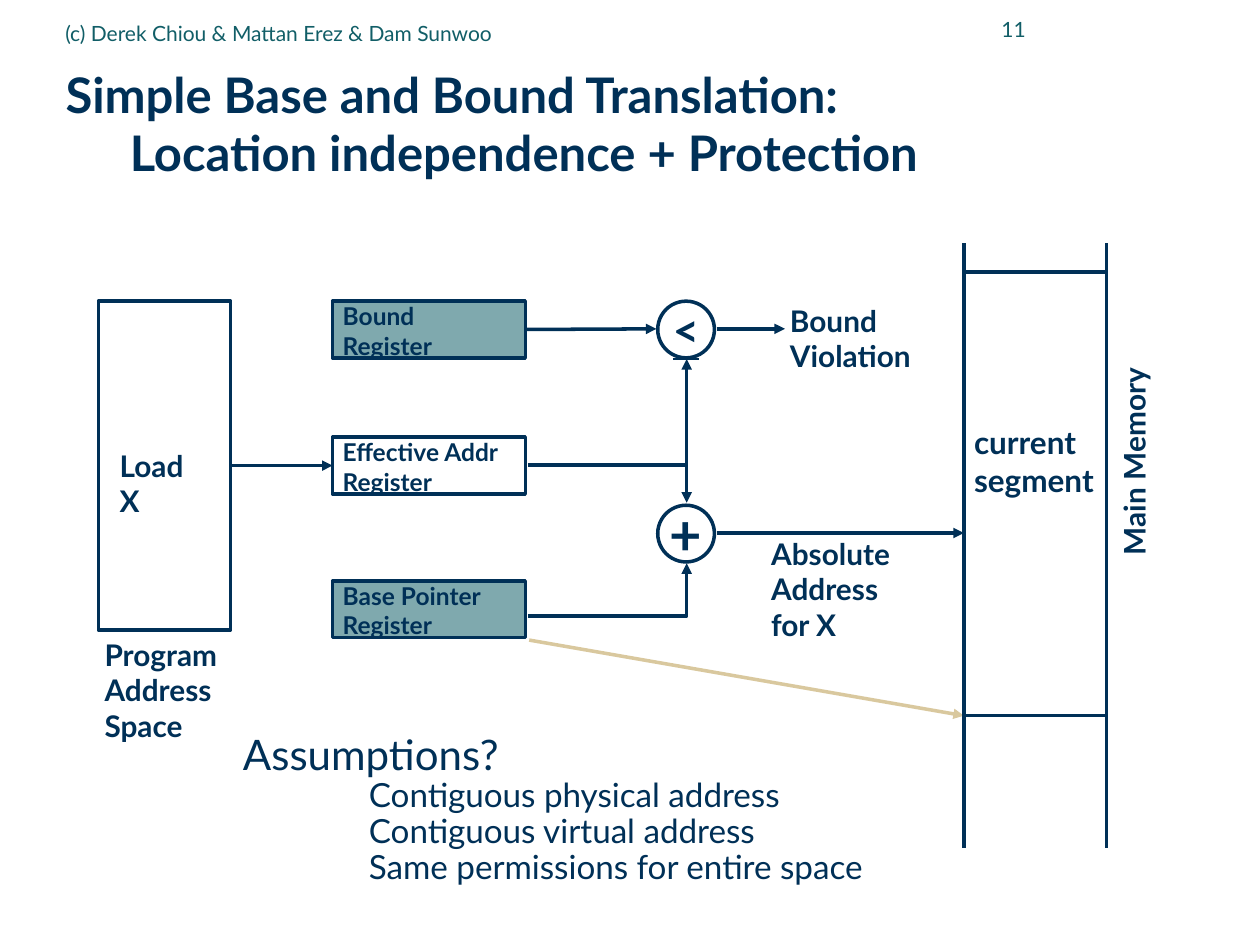
"""Build the slide on simple base and bound address translation."""
import copy
import pptx
import pptx.util
import pptx.dml.color
import pptx.enum.shapes
import pptx.enum.text
import pptx.oxml
import pptx.oxml.ns

Inches, Pt = pptx.util.Inches, pptx.util.Pt
Shape = pptx.enum.shapes.MSO_SHAPE
Align, Anchor = pptx.enum.text.PP_ALIGN, pptx.enum.text.MSO_ANCHOR
qn = pptx.oxml.ns.qn

NAVY, TEAL, PALE, SAND, WHITE = "003057", "115E67", "7FA9AE", "D9C89E", "FFFFFF"
TITLE = "Simple Base and Bound Translation:\v\tLocation independence + Protection"
BOLD = {"size": Pt(17), "bold": True}
HEAD = {"size": Pt(12), "color": TEAL}
WIDE, SLIM = (0.1, 0.05), (0.07, 0.04)

LABELS = [
    (["Load X"], (0.88, 3.51, 0.8, 0.65), 0),
    (["Program", "Address", "Space"], (0.76, 5.01, 1.07, 0.93), 0),
    (["Bound", "Violation"], (6.2, 2.36, 1.13, 0.65), 0),
    (["Absolute", "Address", "for X"], (6.05, 4.21, 1.11, 0.93), 0),
    (["Main Memory"], (8.17, 3.47, 1.65, 0.36), 270),
]
REGS = [
    ("bound", ["Bound", "Register"], 2.39, PALE),
    ("addr", ["Effective Addr", "Register"], 3.47, None),
    ("base", ["Base Pointer", "Register"], 4.61, PALE),
]
NODES = [("<", 2.39, 26, True), ("+", 4.01, 32, False)]
ELBOWS = [
    [(4.19, 3.69), (5.45, 3.69), (5.45, 2.85)],
    [(4.19, 4.89), (5.45, 4.89), (5.45, 4.47)],
]
LEFT, RIGHT, TOP, END = 7.65, 8.78, 1.93, 6.73
WALLS = [((x, TOP), (x, END)) for x in (LEFT, RIGHT)]
WALLS += [((LEFT, y), (RIGHT, y)) for y in (2.16, 5.68)]
ARROWS = [
    ((5.45, 3.69), (5.45, 3.99), NAVY),
    ((5.69, 4.23), (LEFT, 4.23), NAVY),
    ((5.69, 2.61), (6.23, 2.61), NAVY),
    ((4.2, 5.08), (LEFT, 5.68), SAND),
]
POINTS = [
    "Contiguous physical address",
    "Contiguous virtual address",
    "Same permissions for entire space",
]

deck = pptx.Presentation()
deck.slide_width, deck.slide_height = Inches(10), Inches(7.5)
slide = deck.slides.add_slide(deck.slide_layouts[5])
shapes = slide.shapes


def paint(form, tone):
    form.rgb = pptx.dml.color.RGBColor.from_string(tone)


def style(para, look):
    """Apply font values to each run of a paragraph."""
    for run in para.runs:
        for key, val in {"name": "Lato", "color": NAVY, **look}.items():
            if key == "color":
                paint(run.font.color, val)
            else:
                setattr(run.font, key, val)


def write(shape, lines, look, pad=SLIM, anchor=Anchor.TOP, align=Align.LEFT):
    """Fill a shape with styled paragraphs."""
    frame = shape.text_frame
    opts = {
        "word_wrap": True, "vertical_anchor": anchor,
        "auto_size": pptx.enum.text.MSO_AUTO_SIZE.NONE,
        "margin_left": Inches(pad[0]), "margin_right": Inches(pad[0]),
        "margin_top": Inches(pad[1]), "margin_bottom": Inches(pad[1]),
    }
    for key, val in opts.items():
        setattr(frame, key, val)
    for i, line in enumerate(lines):
        para = frame.add_paragraph() if i else frame.paragraphs[0]
        para.text, para.alignment = line, align
        style(para, look)
    return frame


def label(lines, area, look, turn=0, **opts):
    box = shapes.add_textbox(*map(Inches, area))
    box.rotation = turn
    return write(box, lines, look, **opts)


def block(kind, area, fill=None):
    """Add an outlined shape."""
    shape = shapes.add_shape(kind, *map(Inches, area))
    shape.shadow.inherit = False
    if fill:
        shape.fill.solid()
        paint(shape.fill.fore_color, fill)
    else:
        shape.fill.background()
    stroke(shape)
    return shape


def stroke(shape, tone=NAVY, tip=False):
    """Set line colour, width and arrowhead."""
    shape.line.width = Pt(2)
    paint(shape.line.color, tone)
    if tip:
        line = shape._element.spPr.find(qn("a:ln"))
        line.append(line.makeelement(qn("a:tailEnd"), {"type": "triangle"}))


def link(start, end, tone=NAVY, tip=True):
    """Draw a straight line between two points."""
    wire = shapes.add_connector(
        pptx.enum.shapes.MSO_CONNECTOR.STRAIGHT, *map(Inches, (*start, *end)))
    stroke(wire, tone, tip)
    props = wire._element.spPr
    props.append(props.makeelement(qn("a:effectLst"), {}))
    return wire


title = shapes.title
title.left, title.top, title.width, title.height = map(Inches, (0.42, 0.5, 9.41, 0.98))
para = write(title, [TITLE], {"size": Pt(28), "bold": True}, WIDE, Anchor.MIDDLE).paragraphs[0]
para.line_spacing = 0.99
tabs = pptx.oxml.parse_xml(
    '<a:tabLst %s><a:tab pos="%d" algn="l"/></a:tabLst>'
    % (pptx.oxml.ns.nsdecls("a"), Inches(0.51)))
para._p.get_or_add_pPr().append(tabs)
for gap in para._p.findall(qn("a:br")):
    gap.append(copy.deepcopy(para.runs[0]._r.rPr))

label(["11"], (7.33, -0.02, 0.91, 0.5), HEAD, pad=WIDE, anchor=Anchor.MIDDLE, align=Align.RIGHT)
label(["(c) Derek Chiou & Mattan Erez & Dam Sunwoo"], (0.42, 0.03, 5.67, 0.46), HEAD,
      pad=WIDE, anchor=Anchor.MIDDLE)

space = block(Shape.RECTANGLE, (0.78, 2.39, 1.05, 2.61))
regs = {}
for name, lines, top, fill in REGS:
    regs[name] = block(Shape.RECTANGLE, (2.64, top, 1.53, 0.45), fill)
    write(regs[name], lines, {"size": Pt(14), "bold": True}, (0.08, 0))
for sign, top, size, under in NODES:
    node = block(Shape.OVAL, (5.22, top, 0.45, 0.45), WHITE)
    write(node, [sign], {"size": Pt(size), "bold": True, "underline": under}, (0, 0),
          Anchor.MIDDLE, Align.CENTER)

for first, *rest in ELBOWS:
    pen = shapes.build_freeform(*map(Inches, first))
    pen.add_line_segments([tuple(map(Inches, spot)) for spot in rest], close=False)
    bend = pen.convert_to_shape()
    bend.shadow.inherit = False
    bend.fill.background()
    stroke(bend, tip=True)

wire = link((1.83, 3.69), (2.64, 3.69))
wire.begin_connect(space, 3)
wire.end_connect(regs["addr"], 1)
link((4.17, 2.61), (5.21, 2.61)).begin_connect(regs["bound"], 3)
for start, end, tone in ARROWS:
    link(start, end, tone)
for start, end in WALLS:
    link(start, end, tip=False)

for lines, area, turn in LABELS:
    label(lines, area, BOLD, turn)
label(["current", "segment"], (7.64, 3.31, 1.15, 0.7), {"size": Pt(18), "bold": True},
      pad=(0.09, 0.05))

notes = label(["Assumptions?"] + POINTS, (1.83, 5.73, 5.33, 1.77), {"size": Pt(24)}, pad=WIDE)
for para in notes.paragraphs[1:]:
    para.level, para.line_spacing = 2, 0.9
    props = para._p.get_or_add_pPr()
    props.set("marL", str(Inches(1)))
    props.set("indent", "0")
    style(para, {"size": Pt(19)})

deck.save("out.pptx")
